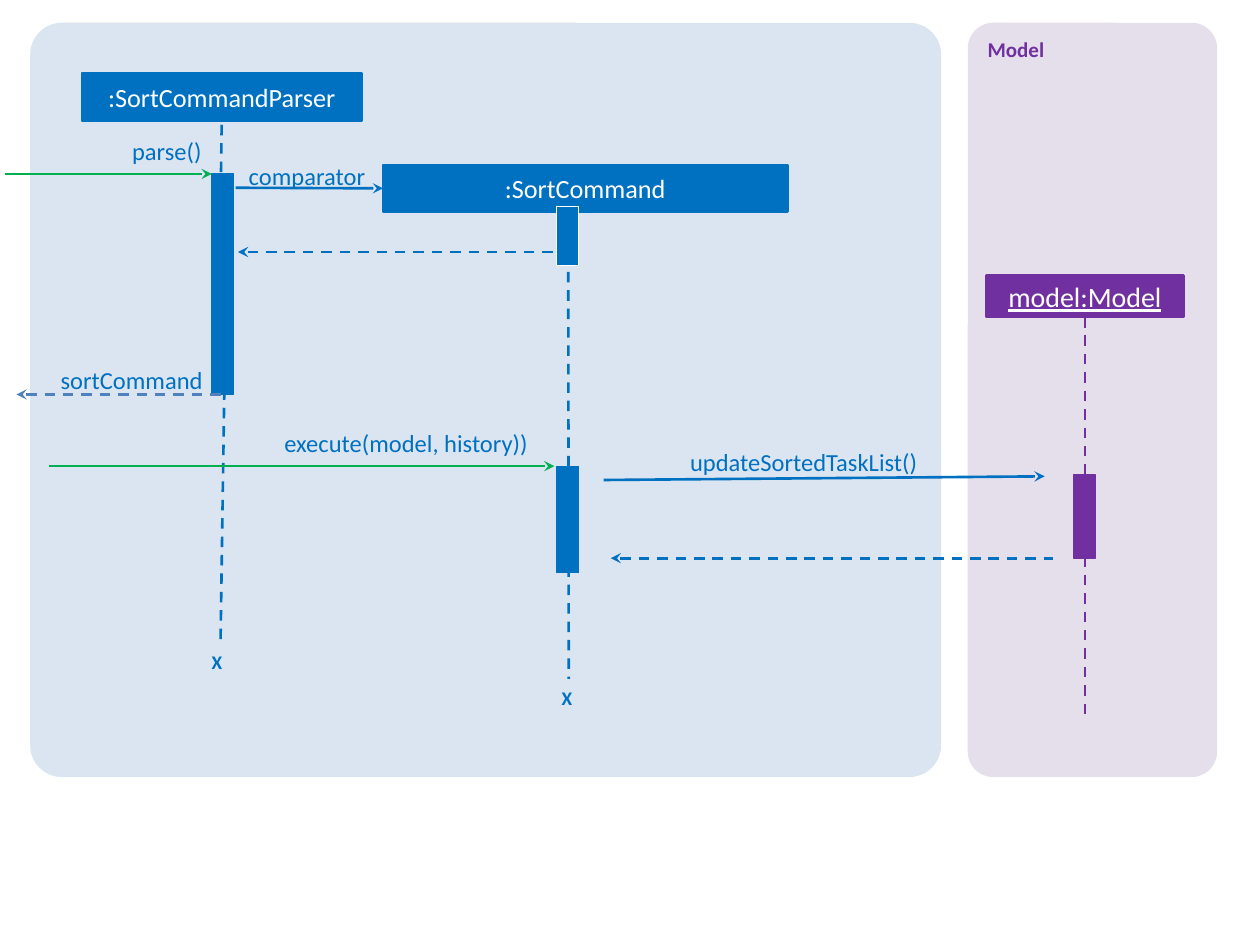
"""Build the sort command sequence diagram slide."""
from pptx import Presentation
from pptx.dml.color import RGBColor
from pptx.enum.dml import MSO_LINE as DASH
from pptx.enum.shapes import MSO_CONNECTOR as CONN, MSO_SHAPE as SHAPE
from pptx.enum.text import MSO_ANCHOR as ANCHOR, PP_ALIGN as ALIGN
from pptx.oxml.ns import qn
from pptx.util import Pt

BLUE = RGBColor(0x00, 0x70, 0xC0)
PURPLE = RGBColor(0x70, 0x30, 0xA0)
GREEN = RGBColor(0x00, 0xB0, 0x50)
STEEL = RGBColor(0x4F, 0x81, 0xBD)
WHITE = RGBColor(0xFF, 0xFF, 0xFF)
PALE_BLUE = RGBColor(0xDA, 0xE5, 0xF1)
PALE_PURPLE = RGBColor(0xE5, 0xDF, 0xEC)


def write(sp, text, size=14, color=BLUE, bold=False, underline=False,
          align=ALIGN.LEFT, anchor=ANCHOR.TOP, inset=(7.2, 3.6)):
    tf = sp.text_frame
    tf.word_wrap = True
    tf.vertical_anchor = anchor
    tf.margin_left = tf.margin_right = Pt(inset[0])
    tf.margin_top = tf.margin_bottom = Pt(inset[1])
    p = tf.paragraphs[0]
    p.alignment = align
    r = p.add_run()
    r.text = text
    r.font.name = "Calibri"
    r.font.size = Pt(size)
    r.font.bold = bold
    r.font.underline = underline
    r.font.color.rgb = color


def connect(x1, y1, x2, y2, color, dashed=False, arrow=None):
    c = s.shapes.add_connector(CONN.STRAIGHT, Pt(x1), Pt(y1), Pt(x2), Pt(y2))
    c.line.color.rgb = color
    c.line.width = Pt(1.5)
    if dashed:
        c.line.dash_style = DASH.DASH
    if arrow:
        ln = c.line._get_or_add_ln()
        ln.append(ln.makeelement(qn(f"a:{arrow}"), {"type": "stealth"}))
    sppr = c._element.spPr
    sppr.append(sppr.makeelement(qn("a:effectLst"), {}))
    return c


prs = Presentation()
prs.slide_width, prs.slide_height = Pt(720), Pt(540)
s = prs.slides.add_slide(prs.slide_layouts[6])

panels = [(553, 142.5, 0.102, PALE_PURPLE, "Model"),
          (17.3, 520.5, 0.042, PALE_BLUE, "")]
for x, w, adj, fill, title in panels:
    sp = s.shapes.add_shape(SHAPE.ROUNDED_RECTANGLE, Pt(x), Pt(13), Pt(w), Pt(431))
    sp.adjustments[0] = adj
    sp.shadow.inherit = False
    sp.fill.solid()
    sp.fill.fore_color.rgb = fill
    sp.line.fill.background()
    if title:
        write(sp, title, size=12, color=PURPLE, bold=True)

lifelines = [(126.7, 71.3, 124.6, 216.7, BLUE),
             (128.2, 222.5, 126, 368, BLUE),
             (324.7, 123.8, 325, 388, BLUE)]
for x1, y1, x2, y2, color in lifelines:
    connect(x1, y1, x2, y2, color, dashed=True)
model_lifeline = connect(620, 181, 620, 409, PURPLE, dashed=True)

boxes = {}
for text, x, y, w, h, color, size, underline in [
        (":SortCommandParser", 46.8, 41.8, 160, 27.4, BLUE, 15, False),
        (":SortCommand", 218.9, 94.3, 231, 26.7, BLUE, 15, False),
        ("model:Model", 563.8, 157.4, 112.4, 23.8, PURPLE, 16, True)]:
    sp = s.shapes.add_shape(SHAPE.RECTANGLE, Pt(x), Pt(y), Pt(w), Pt(h))
    sp.shadow.inherit = False
    sp.fill.solid()
    sp.fill.fore_color.rgb = sp.line.color.rgb = color
    sp.line.width = Pt(1.5)
    write(sp, text, size=size, color=WHITE, underline=underline,
          align=ALIGN.CENTER, anchor=ANCHOR.MIDDLE)
    boxes[text] = sp
model_lifeline.begin_connect(boxes["model:Model"], 2)

activations = [(121, 99.4, 126, BLUE, BLUE),
               (318.2, 118.1, 33.8, BLUE, WHITE),
               (318.2, 266.4, 61, BLUE, BLUE),
               (613.5, 271.4, 47.5, PURPLE, PURPLE)]
for x, y, h, fill, outline in activations:
    sp = s.shapes.add_shape(SHAPE.RECTANGLE, Pt(x), Pt(y), Pt(12.5), Pt(h))
    sp.shadow.inherit = False
    sp.fill.solid()
    sp.fill.fore_color.rgb = fill
    sp.line.color.rgb = outline
    sp.line.width = Pt(0.75)

calls = [(2.9, 99.4, 121, 99.4, GREEN),
         (28.1, 266.4, 316.8, 266.4, GREEN),
         (345, 274.3, 597, 272.2, BLUE)]
for x1, y1, x2, y2, color in calls:
    connect(x1, y1, x2, y2, color, arrow="tailEnd")
create = connect(134.6, 107.3, 218.9, 107.7, BLUE, arrow="tailEnd")
create.end_connect(boxes[":SortCommand"], 1)

returns = [(9.4, 126.7, 225.4, STEEL),
           (136, 321, 144, BLUE),
           (349, 602, 319, BLUE)]
for x1, x2, y, color in returns:
    connect(x1, y, x2, y, color, dashed=True, arrow="headEnd")

labels = [("parse()", 2.9, 77.8, 112.3),
          ("comparator", 136, 91.8, 72.7),
          ("sortCommand", 31.7, 208.4, 84.2),
          ("execute(model, history))", 28.1, 244.8, 273.6),
          ("updateSortedTaskList()", 381.6, 255.2, 142.6)]
for text, x, y, w in labels:
    write(s.shapes.add_textbox(Pt(x), Pt(y), Pt(w), Pt(17)), text,
          align=ALIGN.RIGHT, inset=(0, 0))

ends = [(313.9, 388.8, 21, ANCHOR.TOP, 3.6),
        (113.8, 366.5, 23.8, ANCHOR.MIDDLE, 7.2)]
for x, y, h, anchor, pad in ends:
    write(s.shapes.add_textbox(Pt(x), Pt(y), Pt(21), Pt(h)), "X",
          size=11, bold=True, anchor=anchor, inset=(7.2, pad))

prs.save("out.pptx")
